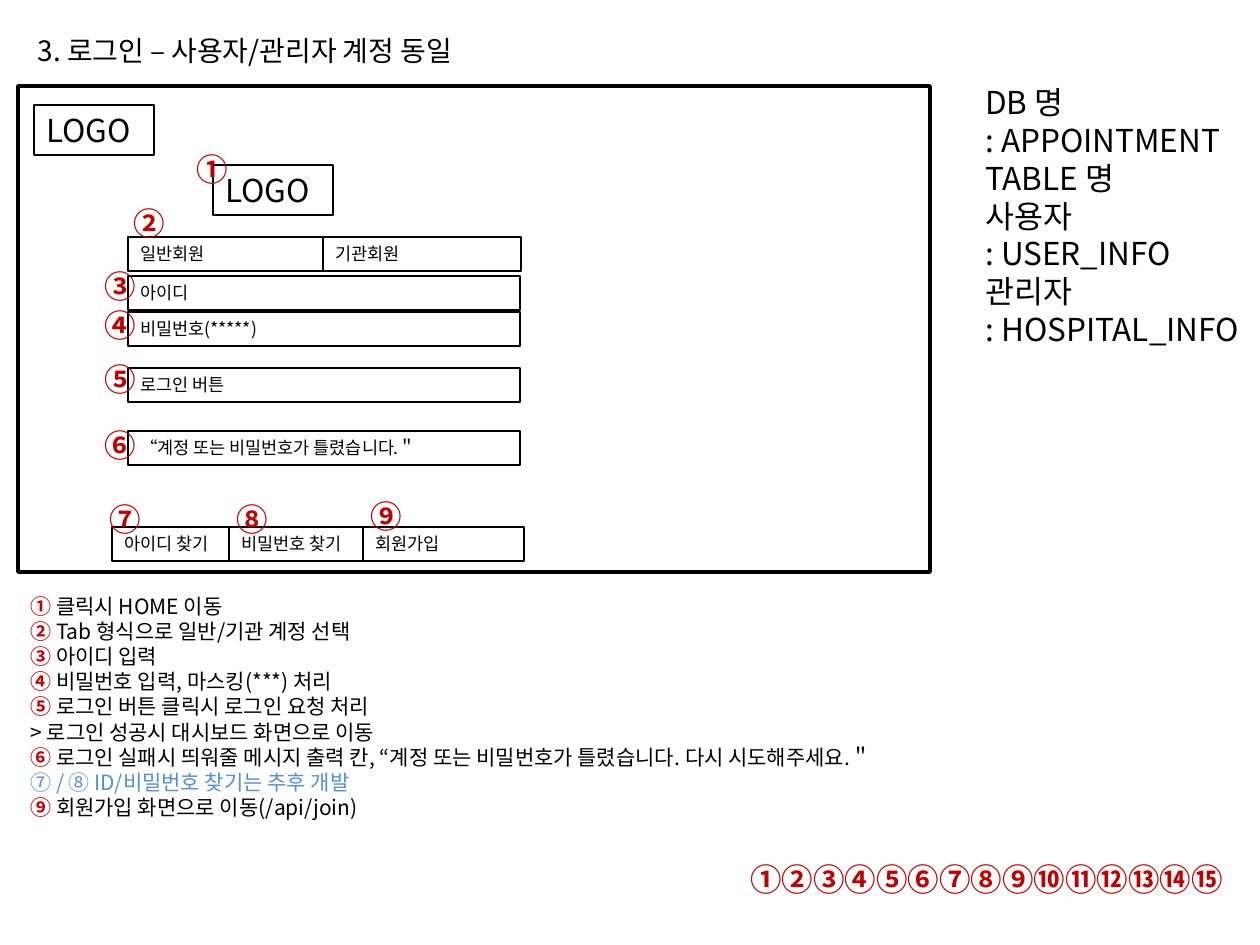
from lxml.etree import SubElement
from pptx import Presentation
from pptx.dml.color import RGBColor
from pptx.enum.shapes import MSO_SHAPE as Kind
from pptx.enum.text import MSO_ANCHOR as Anchor, MSO_AUTO_SIZE as Fit, PP_ALIGN as Align
from pptx.oxml.ns import qn
from pptx.util import Emu, Pt

FONT = "Noto Sans CJK KR"
BLACK = RGBColor(0, 0, 0)
WHITE = RGBColor(255, 255, 255)
RED = RGBColor(192, 0, 0)
BLUE = RGBColor(85, 142, 213)
MARKS = "①②③④⑤⑥⑦⑧⑨⑩⑪⑫⑬⑭⑮"

TITLE = "3. 로그인 – 사용자/관리자 계정 동일"
LOGOS = [(195, 79), (16, 19)]
FIELDS = [
    (110, 151, 248, "일반회원"),
    (305, 151, 198, "기관회원"),
    (110, 190, 392, "아이디"),
    (110, 226, 392, "비밀번호(*****)"),
    (110, 282, 392, "로그인 버튼"),
    (110, 345, 392, "“계정 또는 비밀번호가 틀렸습니다.＂"),
    (94, 441, 161, "아이디 찾기"),
    (211, 441, 161, "비밀번호 찾기"),
    (345, 441, 161, "회원가입"),
]
BADGES = [(166, 58), (103, 112), (74, 175), (74, 214), (74, 268),
          (74, 334), (79, 408), (206, 408), (340, 405)]
NOTES = [
    ("① ", "클릭시 HOME 이동", BLACK),
    ("② ", "Tab 형식으로 일반/기관 계정 선택", BLACK),
    ("③", " 아이디 입력", BLACK),
    ("④ ", "비밀번호 입력, 마스킹(***) 처리", BLACK),
    ("⑤ ", "로그인 버튼 클릭시 로그인 요청 처리", BLACK),
    ("", "> 로그인 성공시 대시보드 화면으로 이동", BLACK),
    ("⑥ ", "로그인 실패시 띄워줄 메시지 출력 칸, “계정 또는 비밀번호가 틀렸습니다. 다시 시도해주세요.＂", BLACK),
    ("", "⑦ / ⑧ ID/비밀번호 찾기는 추후 개발", BLUE),
    ("⑨ ", "회원가입 화면으로 이동(/api/join)", BLACK),
]
TABLES = ["DB 명", ": APPOINTMENT", "TABLE 명", "사용자", ": USER_INFO",
          "관리자", ": HOSPITAL_INFO"]


def px(*sizes):
    """Turn pixel lengths into EMU."""
    return [Emu(round(size * 914400 / 126)) for size in sizes]


def apply(part, style):
    """Set each attribute named in a style."""
    for key, value in style.items():
        setattr(part, key, value)


def write(shape, lines, size, wrap=True, fit=Fit.SHAPE_TO_FIT_TEXT):
    """Fill a shape with lines, each a list of (text, colour, bold) runs."""
    frame = shape.text_frame
    side, edge = Pt(7.2), Pt(3.6)
    apply(frame, dict(word_wrap=wrap, auto_size=fit, vertical_anchor=Anchor.MIDDLE,
                      margin_left=side, margin_right=side,
                      margin_top=edge, margin_bottom=edge))
    for i, line in enumerate(lines):
        para = frame.add_paragraph() if i else frame.paragraphs[0]
        apply(para, dict(alignment=Align.LEFT, line_spacing=Pt(size * 1.2),
                         space_before=Pt(0), space_after=Pt(0)))
        for text, color, bold in line:
            run = para.add_run()
            run.text = text
            apply(run.font, dict(name=FONT, size=Pt(size), bold=bold))
            run.font.color.rgb = color
            SubElement(run.font._element, qn("a:ea"), typeface=FONT)


def frame(slide, box, width):
    """Draw a white box with a black outline."""
    shape = slide.shapes.add_shape(Kind.RECTANGLE, *px(*box))
    shape.shadow.inherit = False
    shape.fill.solid()
    shape.fill.fore_color.rgb = WHITE
    shape.line.color.rgb = BLACK
    shape.line.width = Pt(width)
    return shape


def label(slide, box, lines, size, wrap=False):
    """Place a text box."""
    write(slide.shapes.add_textbox(*px(*box)), lines, size, wrap)


def head(slide, box):
    """Place the slide title."""
    title = slide.shapes.title
    apply(title, dict(zip(("left", "top", "width", "height"), px(*box))))
    write(title, [[(TITLE, BLACK, False)]], 16, fit=Fit.NONE)


def screen(slide, box):
    """Draw the login screen with its fields and numbered badges."""
    left, top = box[:2]
    frame(slide, box, 2)
    items = [(x, y, 120, 50, "LOGO", 18) for x, y in LOGOS]
    items += [(x, y, w, 34, text, 10) for x, y, w, text in FIELDS]
    for x, y, w, h, text, size in items:
        shape = frame(slide, (left + x, top + y, w, h), 0.75)
        write(shape, [[(text, BLACK, False)]], size)
    for mark, (x, y) in zip(MARKS, BADGES):
        label(slide, (left + x, top + y, 57, 50), [[(mark, RED, True)]], 18)


def notes(slide, box):
    """List what each numbered part does."""
    lines = [[run for run in ((mark, RED, True), (text, color, False)) if run[0]]
             for mark, text, color in NOTES]
    label(slide, box, lines, 12, True)


def main():
    """Build and save the slide."""
    deck = Presentation()
    deck.slide_width, deck.slide_height = px(1260, 945)
    slide = deck.slides.add_slide(deck.slide_layouts[5])
    head(slide, (25, 26, 586, 49))
    screen(slide, (18, 86, 912, 486))
    notes(slide, (18, 587, 970, 239))
    label(slide, (738, 854, 498, 50), [[(MARKS, RED, True)]], 18)
    label(slide, (973, 77, 280, 277), [[(text, BLACK, False)] for text in TABLES], 18)
    deck.save("out.pptx")


if __name__ == "__main__":
    main()
